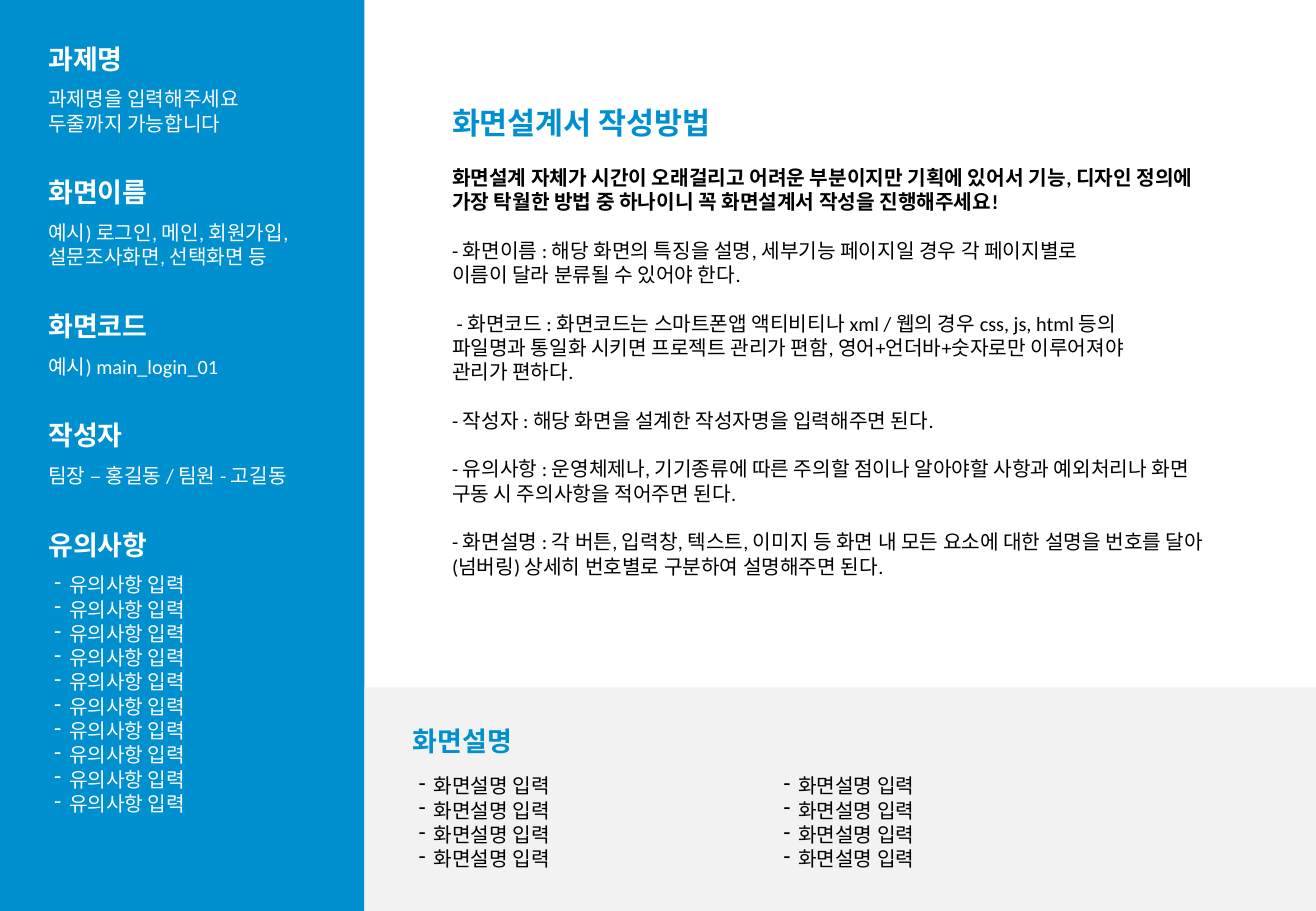
import pptx
import pptx.dml.color
import pptx.enum.shapes
import pptx.enum.text
import pptx.util
import lxml.etree
from collections import namedtuple

BLUE = pptx.dml.color.RGBColor(0x00, 0x90, 0xD0)
GRAY = pptx.dml.color.RGBColor(0xF2, 0xF2, 0xF2)
WHITE = pptx.dml.color.RGBColor(0xFF, 0xFF, 0xFF)
BLACK = pptx.dml.color.RGBColor(0x00, 0x00, 0x00)
FONT = "Calibri"
DRAWING = "{http://schemas.openxmlformats.org/drawingml/2006/main}"

# The grid: ten cells to the inch, counted from the top left corner
CELL = pptx.util.Inches(0.1)
COLUMNS, ROWS = 108.3, 75
SIDE_COLUMNS = 30
FOOT_ROWS = 18.4
MARGIN = 3
LINE_ROWS = 2
HEADING_ROWS = 3.65
LINE_GAP = 14.4

Box = namedtuple("Box", "left top width height")

FIELDS = [
    (3, "과제명", ["과제명을 입력해주세요", "두줄까지 가능합니다"], False),
    (14, "화면이름", ["예시) 로그인, 메인, 회원가입,", "설문조사화면, 선택화면 등"], False),
    (25, "화면코드", ["예시) main_login_01"], False),
    (34, "작성자", ["팀장 – 홍길동 / 팀원 - 고길동"], False),
    (43, "유의사항", ["유의사항 입력"] * 10, True),
]
GUIDE_TITLE = "화면설계서 작성방법"
GUIDE_BLOCKS = [
    ["화면설계 자체가 시간이 오래걸리고 어려운 부분이지만 기획에 있어서 기능, 디자인 정의에 "
     "가장 탁월한 방법 중 하나이니 꼭 화면설계서 작성을 진행해주세요!"],
    ["- 화면이름 : 해당 화면의 특징을 설명, 세부기능 페이지일 경우 각 페이지별로",
     "이름이 달라 분류될 수 있어야 한다."],
    [" - 화면코드 : 화면코드는 스마트폰앱 액티비티나 xml / 웹의 경우 css, js, html 등의",
     "파일명과 통일화 시키면 프로젝트 관리가 편함, 영어+언더바+숫자로만 이루어져야",
     "관리가 편하다."],
    ["- 작성자 : 해당 화면을 설계한 작성자명을 입력해주면 된다."],
    ["- 유의사항 : 운영체제나, 기기종류에 따른 주의할 점이나 알아야할 사항과 예외처리나 화면 "
     "구동 시 주의사항을 적어주면 된다."],
    ["- 화면설명 : 각 버튼, 입력창, 텍스트, 이미지 등 화면 내 모든 요소에 대한 설명을 번호를 "
     "달아(넘버링) 상세히 번호별로 구분하여 설명해주면 된다."],
]
NOTE_LINES = ["화면설명 입력"] * 4


def lengths(box):
    return [round(value * CELL) for value in box]


def set_bullet(para, dashed):
    properties = para._p.get_or_add_pPr()
    margin, indent = (0.17, -0.12) if dashed else (0, 0)
    properties.set("marL", str(pptx.util.Inches(margin)))
    properties.set("indent", str(pptx.util.Inches(indent)))
    if dashed:
        lxml.etree.SubElement(properties, DRAWING + "buChar", char="-")
    else:
        lxml.etree.SubElement(properties, DRAWING + "buNone")


def write_text(frame, blocks, size=12, color=BLACK, bold=False, bold_first=False,
               dashed=False, wrap=True):
    """Write blocks of lines, with one line of space between blocks."""
    frame.word_wrap = wrap
    frame.auto_size = pptx.enum.text.MSO_AUTO_SIZE.NONE
    frame.vertical_anchor = pptx.enum.text.MSO_ANCHOR.TOP
    para = None
    for block_number, block in enumerate(blocks):
        for line_number, line in enumerate(block):
            para = frame.add_paragraph() if para is not None else frame.paragraphs[0]
            set_bullet(para, dashed)
            starts_block = block_number > 0 and line_number == 0
            para.space_before = pptx.util.Pt(LINE_GAP if starts_block else 0)
            para.alignment = pptx.enum.text.PP_ALIGN.LEFT
            span = para.add_run()
            span.text = line
            span.font.name = FONT
            span.font.size = pptx.util.Pt(size)
            span.font.bold = bold or (bold_first and block_number == 0)
            span.font.color.rgb = color


def add_text(page, box, lines, **text_format):
    text_box = page.shapes.add_textbox(*lengths(box))
    write_text(text_box.text_frame, [lines], **text_format)


def add_heading(page, left, top, text, color):
    box = Box(left, top, 2 + 2.25 * len(text), 3.7)
    add_text(page, box, [text], size=16, color=color, bold=True, wrap=False)


def add_panel(page, box, color):
    panel = page.shapes.add_shape(pptx.enum.shapes.MSO_SHAPE.RECTANGLE, *lengths(box))
    panel.shadow.inherit = False
    panel.fill.solid()
    panel.fill.fore_color.rgb = color
    panel.line.fill.background()


def fill_placeholder(holder, box, blocks, **text_format):
    holder.left, holder.top, holder.width, holder.height = lengths(box)
    write_text(holder.text_frame, blocks, **text_format)


def build_sidebar(page, box):
    add_panel(page, box, BLUE)
    left = box.left + MARGIN
    for row, heading, lines, dashed in FIELDS:
        top = box.top + row
        add_heading(page, left, top, heading, WHITE)
        lines_box = Box(left, top + HEADING_ROWS, 23.7, 1 + LINE_ROWS * len(lines))
        add_text(page, lines_box, lines, color=WHITE, dashed=dashed)


def build_guide(page, box):
    left = box.left + 6.2
    fill_placeholder(page.shapes.title, Box(left, box.top + 8.1, 25.3, 4),
                     [[GUIDE_TITLE]], size=18, color=BLUE, bold=True, wrap=False)
    fill_placeholder(page.placeholders[1], Box(left, box.top + 13.1, 66, 35.3),
                     GUIDE_BLOCKS, bold_first=True)


def build_notes_panel(page, box):
    add_panel(page, box, GRAY)
    left = box.left + MARGIN
    add_heading(page, left, box.top + 2.6, "화면설명", BLUE)
    for column in range(2):
        lines_box = Box(left + 30 * column, box.top + 6.6, 27, 1 + LINE_ROWS * len(NOTE_LINES))
        add_text(page, lines_box, NOTE_LINES, dashed=True)


def main():
    deck = pptx.Presentation()
    deck.slide_width, deck.slide_height = lengths((COLUMNS, ROWS))
    page = deck.slides.add_slide(deck.slide_layouts[1])

    main_columns = COLUMNS - SIDE_COLUMNS
    main_rows = ROWS - FOOT_ROWS
    build_sidebar(page, Box(0, 0, SIDE_COLUMNS, ROWS))
    build_guide(page, Box(SIDE_COLUMNS, 0, main_columns, main_rows))
    build_notes_panel(page, Box(SIDE_COLUMNS, main_rows, main_columns, FOOT_ROWS))
    deck.save("out.pptx")


if __name__ == "__main__":
    main()
